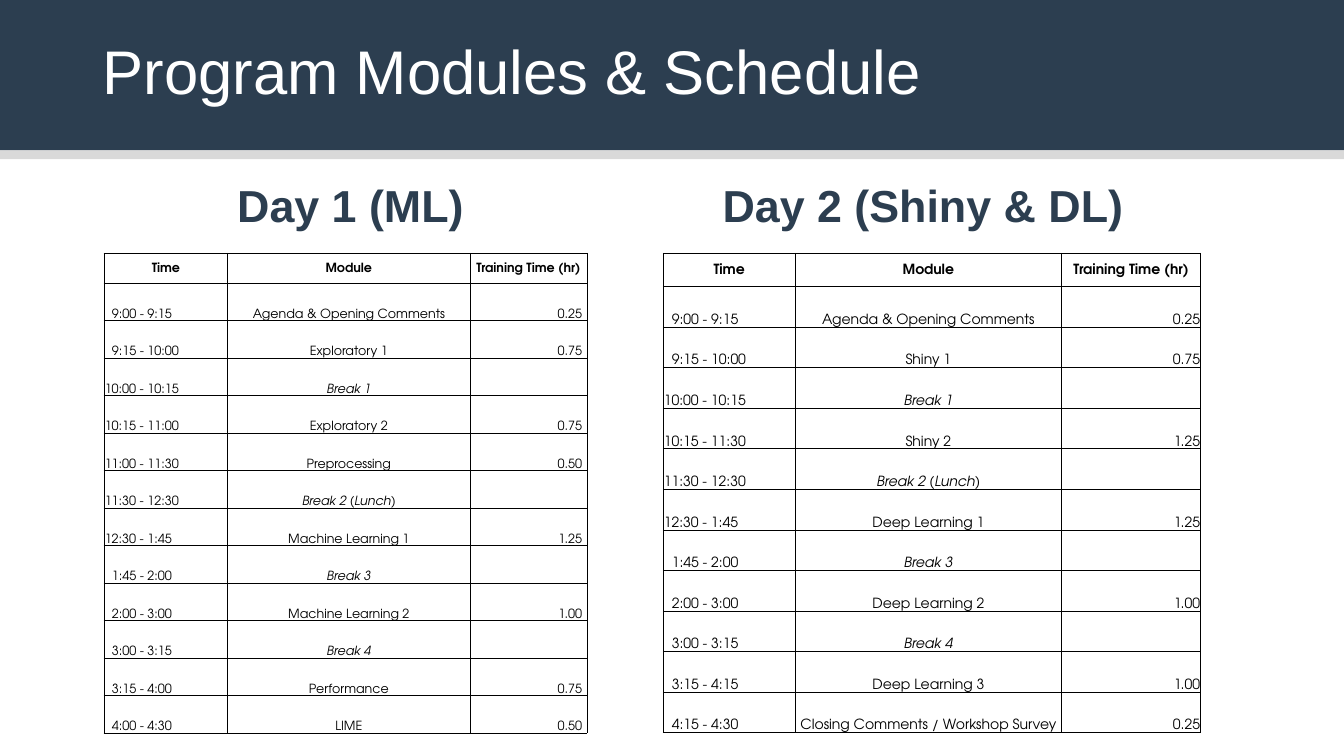
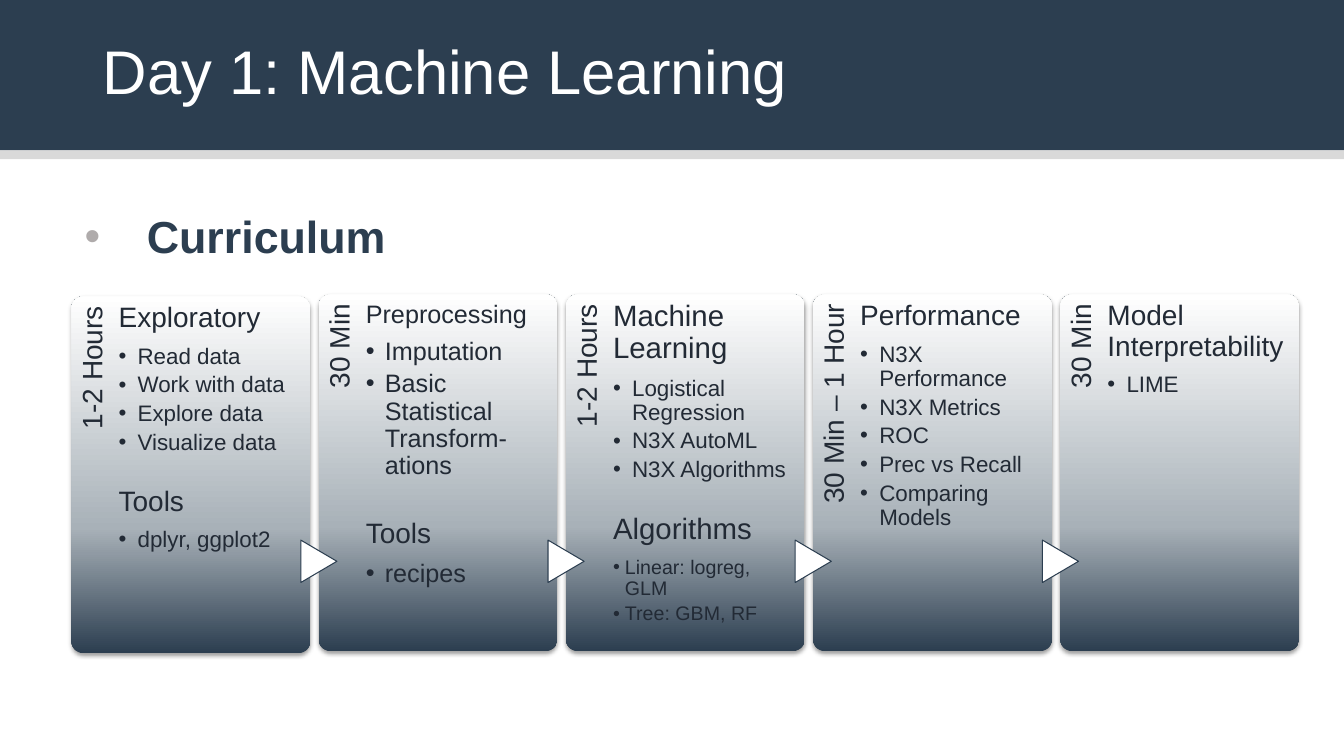
import copy
import dataclasses

import lxml.etree
import pptx
import pptx.dml.color
import pptx.enum.shapes
import pptx.enum.text
import pptx.oxml.ns
import pptx.util
from pptx.util import Cm

Color = pptx.dml.color.RGBColor
Align = pptx.enum.text.PP_ALIGN
Anchor = pptx.enum.text.MSO_ANCHOR
Preset = pptx.enum.shapes.MSO_SHAPE
Pt = pptx.util.Pt


@dataclasses.dataclass(frozen=True)
class Theme:
    navy: Color = Color.from_string("2C3E50")
    white: Color = Color.from_string("FFFFFF")
    black: Color = Color.from_string("000000")
    rule: Color = Color.from_string("D9D9D9")
    mist: Color = Color.from_string("A8B1B8")
    ink: Color = Color.from_string("222A35")
    bullet: Color = Color.from_string("AFABAB")
    font: str = "Arial"
    table_font: str = "TeX Gyre Adventor"
    title_size: int = 44
    heading_size: int = 32
    label_size: int = 20
    line_spacing: float = 0.9
    heading_gap: float = 0.4
    item_gap: float = 0.2


THEME = Theme()
SLIDE_WIDTH, SLIDE_HEIGHT = Cm(33.87), Cm(19.05)
BAND_TOP = Cm(3.79)


@dataclasses.dataclass
class Section:
    heading: str
    items: list
    heading_size: float = 20
    item_size: float = 16
    indent: float = 0.48
    gap_after: float = 0


@dataclasses.dataclass
class Schedule:
    left: Cm
    columns: list
    header_height: float
    size: int
    hours_margin: float
    rows: list


DAY_ONE = Schedule(Cm(2.62), [3.12, 6.1, 2.95], 0.76, 9, 0.12, [
    ("9:00 - 9:15", "Agenda & Opening Comments", "0.25"),
    ("9:15 - 10:00", "Exploratory 1", "0.75"),
    ("10:00 - 10:15", "Break 1", ""),
    ("10:15 - 11:00", "Exploratory 2", "0.75"),
    ("11:00 - 11:30", "Preprocessing", "0.50"),
    ("11:30 - 12:30", "Break 2 (Lunch)", ""),
    ("12:30 - 1:45", "Machine Learning 1", "1.25"),
    ("1:45 - 2:00", "Break 3", ""),
    ("2:00 - 3:00", "Machine Learning 2", "1.00"),
    ("3:00 - 3:15", "Break 4", ""),
    ("3:15 - 4:00", "Performance", "0.75"),
    ("4:00 - 4:30", "LIME", "0.50"),
])

DAY_TWO = Schedule(Cm(16.71), [3.33, 6.71, 3.51], 0.84, 10, 0.02, [
    ("9:00 - 9:15", "Agenda & Opening Comments", "0.25"),
    ("9:15 - 10:00", "Shiny 1", "0.75"),
    ("10:00 - 10:15", "Break 1", ""),
    ("10:15 - 11:30", "Shiny 2", "1.25"),
    ("11:30 - 12:30", "Break 2 (Lunch)", ""),
    ("12:30 - 1:45", "Deep Learning 1", "1.25"),
    ("1:45 - 2:00", "Break 3", ""),
    ("2:00 - 3:00", "Deep Learning 2", "1.00"),
    ("3:00 - 3:15", "Break 4", ""),
    ("3:15 - 4:15", "Deep Learning 3", "1.00"),
    ("4:15 - 4:30", "Closing Comments / Workshop Survey", "0.25"),
])

CURRICULUM = [
    ("1-2 Hours", [
        Section("Exploratory", ["Read data", "Work with data", "Explore data", "Visualize data"],
                gap_after=22.7),
        Section("Tools", ["dplyr, ggplot2"]),
    ]),
    ("30 Min", [
        Section("Preprocessing", ["Imputation", "Basic Statistical Transform-ations"],
                heading_size=18, item_size=18, gap_after=28),
        Section("Tools", ["recipes"], item_size=18),
    ]),
    ("1-2 Hours", [
        Section("Machine Learning", ["Logistical Regression", "N3X AutoML", "N3X Algorithms"],
                heading_size=21, gap_after=22.7),
        Section("Algorithms", ["Linear: logreg, GLM", "Tree: GBM, RF"],
                heading_size=21, item_size=14, indent=0.3),
    ]),
    ("30 Min \u2013 1 Hour", [
        Section("Performance", ["N3X Performance", "N3X Metrics", "ROC", "Prec vs Recall",
                                "Comparing Models"]),
    ]),
    ("30 Min", [Section("Model Interpretability", ["LIME"])]),
]


def add_node(parent, tag, **attributes):
    return lxml.etree.SubElement(parent, pptx.oxml.ns.qn(tag),
                                 {name: str(value) for name, value in attributes.items()})


def place(shape, left, top, width, height):
    shape.left, shape.top, shape.width, shape.height = left, top, width, height


def set_frame(frame, left, top, right, bottom, anchor=Anchor.TOP):
    frame.word_wrap = True
    frame.auto_size = pptx.enum.text.MSO_AUTO_SIZE.NONE
    frame.vertical_anchor = anchor
    frame.margin_left, frame.margin_top = Cm(left), Cm(top)
    frame.margin_right, frame.margin_bottom = Cm(right), Cm(bottom)


def add_span(para, text, size, color, font=THEME.font, bold=False, italic=False):
    span = para.add_run()
    span.text = text
    span.font.name, span.font.size, span.font.color.rgb = font, Pt(size), color
    span.font.bold, span.font.italic = bold, italic


def set_para(para, align=Align.LEFT, before=0, after=0):
    para.alignment = align
    para.line_spacing = THEME.line_spacing
    para.space_before, para.space_after = Pt(before), Pt(after)


def set_indent(para, left, hanging=0.0, bullet=False, color=None):
    properties = para._p.get_or_add_pPr()
    properties.set("marL", str(Cm(left)))
    properties.set("indent", str(-Cm(hanging)))
    if not bullet:
        add_node(properties, "a:buNone")
        return
    if color is not None:
        add_node(add_node(properties, "a:buClr"), "a:srgbClr", val=color)
    add_node(properties, "a:buFont", typeface=THEME.font)
    add_node(properties, "a:buChar", char="\u2022")


def add_plain_shape(page, preset, left, top, width, height, fill=None):
    shape = page.shapes.add_shape(preset, left, top, width, height)
    shape.shadow.inherit = False
    shape.line.fill.background()
    if fill is not None:
        shape.fill.solid()
        shape.fill.fore_color.rgb = fill
    return shape


def move_bands_to_master(deck, page):
    master = deck.slide_master
    master.background.fill.solid()
    master.background.fill.fore_color.rgb = THEME.navy
    bands = [(SLIDE_HEIGHT - BAND_TOP, THEME.white), (Cm(0.22), THEME.rule)]
    for order, (height, color) in enumerate(bands):
        band = add_plain_shape(page, Preset.RECTANGLE, 0, BAND_TOP, SLIDE_WIDTH, height, color)
        band.element.nvSpPr.cNvPr.set("id", str(100 + order))
        master.shapes.element.insert(2 + order, band.element)


def set_title(page, text):
    title = page.shapes.title
    place(title, Cm(2.34), Cm(0.41), Cm(29.21), Cm(2.95))
    set_frame(title.text_frame, 0.25, 0.25, 0.25, 0.25, Anchor.MIDDLE)
    para = title.text_frame.paragraphs[0]
    set_para(para)
    add_span(para, text, THEME.title_size, THEME.white)


def set_heading(body, text, left, top, width, bullet=False):
    place(body, left, top, width, Cm(12.09))
    set_frame(body.text_frame, 0.25, 0.25, 0.25, 0.25)
    para = body.text_frame.paragraphs[0]
    set_para(para, Align.LEFT if bullet else Align.CENTER, before=10)
    if bullet:
        set_indent(para, 2.08, 1.57, True, THEME.bullet)
    else:
        set_indent(para, 0.48)
    add_span(para, text, THEME.heading_size, THEME.navy, bold=True)


def set_borders(cell):
    properties = cell._tc.get_or_add_tcPr()
    for order, side in enumerate("LRTB"):
        border = add_node(properties, "a:ln" + side, w=Pt(0.5))
        add_node(add_node(border, "a:solidFill"), "a:srgbClr", val=THEME.black)
        properties.insert(order, border)


def fill_cell(cell, text, size, align, header=False, right=0.02):
    cell.fill.background()
    set_borders(cell)
    cell.vertical_anchor = Anchor.MIDDLE if header else Anchor.BOTTOM
    cell.margin_left, cell.margin_top = Cm(0.02), Cm(0.02)
    cell.margin_right, cell.margin_bottom = Cm(right), 0
    para = cell.text_frame.paragraphs[0]
    para.alignment = align
    if text:
        add_span(para, text, size, THEME.black, THEME.table_font, bold=header,
                 italic=text.startswith("Break"))
    return para


def add_schedule(page, schedule):
    total = 12.09
    frame = page.shapes.add_table(len(schedule.rows) + 1, 3, schedule.left, Cm(6.38),
                                  Cm(sum(schedule.columns)), Cm(total))
    table = frame.table
    table.first_row = table.horz_banding = False
    for column, width in zip(table.columns, schedule.columns):
        column.width = Cm(width)
    row_height = (total - schedule.header_height) / len(schedule.rows)
    for number, row in enumerate(table.rows):
        row.height = Cm(row_height if number else schedule.header_height)
    for column, text in enumerate(("Time", "Module", "Training Time (hr)")):
        fill_cell(table.cell(0, column), text, schedule.size, Align.CENTER, header=True)
    for number, (time, module, hours) in enumerate(schedule.rows, 1):
        para = fill_cell(table.cell(number, 0), time, schedule.size, Align.LEFT)
        if time.index(":") == 1:
            set_indent(para, 0.02 * schedule.size)
        fill_cell(table.cell(number, 1), module, schedule.size, Align.CENTER)
        fill_cell(table.cell(number, 2), hours, schedule.size, Align.RIGHT,
                  right=schedule.hours_margin)


def add_card(page, left, top):
    card = add_plain_shape(page, Preset.ROUNDED_RECTANGLE, left, top, Cm(6.02), Cm(8.99))
    card.adjustments[0] = 0.05
    card.fill.gradient()
    card.fill.gradient_angle = 90
    stop_list = card.element.spPr.find(".//" + pptx.oxml.ns.qn("a:gsLst"))
    stop_list.append(copy.deepcopy(stop_list[0]))
    colors = [(0, THEME.navy), (0.35, THEME.mist), (1, THEME.white)]
    for stop, (position, color) in zip(card.fill.gradient_stops, colors):
        stop.position, stop.color.rgb = position, color
    effects = card.element.spPr.find(pptx.oxml.ns.qn("a:effectLst"))
    shadow = add_node(effects, "a:outerShdw", blurRad=Pt(3.1), dist=Pt(1.6), dir=5400000,
                      rotWithShape=0)
    add_node(add_node(shadow, "a:srgbClr", val=THEME.black), "a:alpha", val=38000)


def add_duration(page, text, left, top):
    box = page.shapes.add_textbox(left - Cm(3.1), top + Cm(3.08), Cm(7.37), Cm(1.19))
    box.rotation = 270
    set_frame(box.text_frame, 0, 0.18, 0.25, 0)
    para = box.text_frame.paragraphs[0]
    set_para(para, Align.RIGHT)
    add_span(para, text, THEME.label_size, THEME.ink)


def add_sections(page, sections, left, top):
    box = page.shapes.add_textbox(left + Cm(1.19), top, Cm(4.5), Cm(8.99))
    frame = box.text_frame
    set_frame(frame, 0, 0.18, 0, 0)
    for number, section in enumerate(sections):
        para = frame.add_paragraph() if number else frame.paragraphs[0]
        set_para(para, after=section.heading_size * THEME.heading_gap)
        add_span(para, section.heading, section.heading_size, THEME.ink)
        for item in section.items:
            para = frame.add_paragraph()
            set_para(para, after=section.item_size * THEME.item_gap)
            set_indent(para, section.indent, section.indent, True)
            add_span(para, item, section.item_size, THEME.ink)
        if section.gap_after:
            para.space_after = Pt(section.gap_after)


def add_arrow(page, left):
    arrow = add_plain_shape(page, Preset.FLOWCHART_EXTRACT, left - Cm(0.53), Cm(13.69),
                            Cm(1.07), Cm(0.91), THEME.white)
    arrow.rotation = 90
    arrow.line.color.rgb, arrow.line.width = THEME.navy, Pt(0.75)


def build_schedule(page):
    set_title(page, "Program Modules & Schedule")
    set_heading(page.placeholders[1], "Day 1 (ML)", Cm(1.37), Cm(4.39), Cm(14.45))
    set_heading(page.placeholders[2], "Day 2 (Shiny & DL)", Cm(15.8), Cm(4.39), Cm(14.45))
    for schedule in (DAY_ONE, DAY_TWO):
        add_schedule(page, schedule)


def build_curriculum(page):
    set_title(page, "Day 1: Machine Learning")
    set_heading(page.placeholders[1], "Curriculum", Cm(1.37), Cm(5.16), Cm(30.18), bullet=True)
    for number, (duration, sections) in enumerate(CURRICULUM):
        left, top = Cm(1.8 + 6.23 * number), Cm(7.42 if number else 7.47)
        add_card(page, left, top)
        add_duration(page, duration, left, top)
        if number:
            add_arrow(page, left)
        add_sections(page, sections, left, top)


def main():
    deck = pptx.Presentation()
    deck.slide_width, deck.slide_height = SLIDE_WIDTH, SLIDE_HEIGHT
    schedule_page = deck.slides.add_slide(deck.slide_layouts[3])
    move_bands_to_master(deck, schedule_page)
    build_schedule(schedule_page)
    build_curriculum(deck.slides.add_slide(deck.slide_layouts[1]))
    deck.save("out.pptx")


main()
